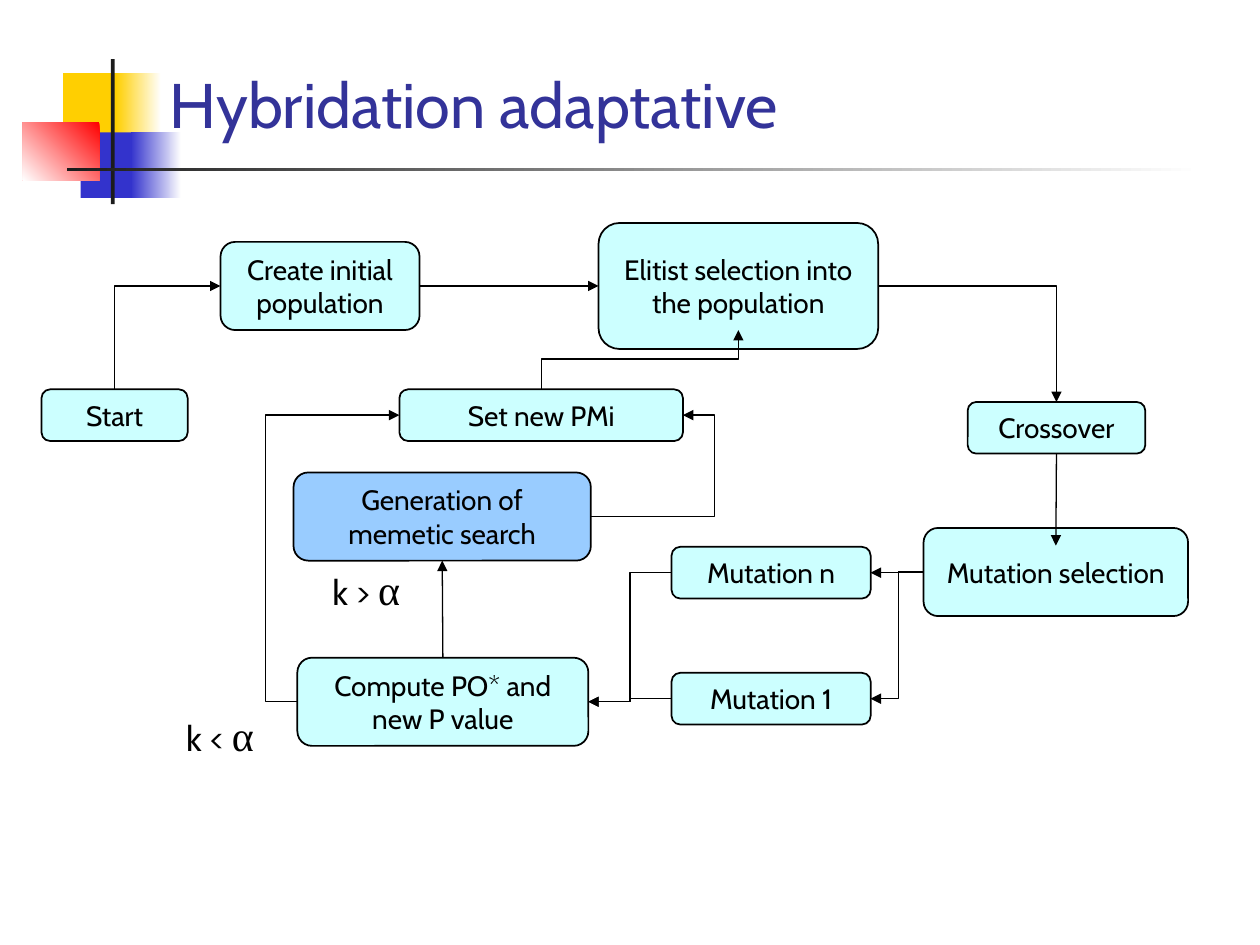
import pptx
import pptx.util
import pptx.dml.color
import pptx.enum.shapes
import pptx.enum.text
import pptx.oxml
import pptx.oxml.ns

Inches, Pt = pptx.util.Inches, pptx.util.Pt
Shapes = pptx.enum.shapes.MSO_SHAPE
Connectors = pptx.enum.shapes.MSO_CONNECTOR
Anchor = pptx.enum.text.MSO_ANCHOR
Align = pptx.enum.text.PP_ALIGN
qn = pptx.oxml.ns.qn
TOP, LEFT, BOTTOM, RIGHT = range(4)

# Content: decoration as (left, top, width, height, colours, angle)
DECORATION = [
    (0.5, 0.58, 0.48, 0.52, ["FFCF01"], 0),
    (0.92, 0.58, 0.36, 0.52, ["FFFFFF", "FFCF01"], 180),
    (0.64, 1.05, 0.46, 0.52, ["3333CC"], 0),
    (1.04, 1.05, 0.4, 0.52, ["FFFFFF", "3333CC"], 180),
    (0.18, 0.97, 0.61, 0.46, ["FF0000", "FFFFFF"], 225),
    (0.88, 0.47, 0.03, 1.15, ["1C1C1C"], 0),
    (0.53, 1.33, 9, 0.03, ["FFFFFF", "1C1C1C"], 180),
]
PALE, BLUE = "CCFFFF", "99CCFF"
# Steps: name -> (text, left, top, width, height, fill)
STEPS = {
    "compute": ("Compute PO* and\nnew P value", 2.36, 5.22, 2.31, 0.7, PALE),
    "crossover": ("Crossover", 7.68, 3.19, 1.41, 0.41, PALE),
    "mutation 1": ("Mutation 1", 5.33, 5.34, 1.58, 0.41, PALE),
    "mutation n": ("Mutation n", 5.33, 4.34, 1.58, 0.41, PALE),
    "selection": ("Mutation selection", 7.33, 4.19, 2.1, 0.7, PALE),
    "elitist": ("Elitist selection into the population", 4.75, 1.77, 2.22, 1, PALE),
    "start": ("Start", 0.33, 3.09, 1.16, 0.41, PALE),
    "create": ("Create initial population", 1.75, 1.92, 1.58, 0.7, PALE),
    "set": ("Set new PMi", 3.17, 3.09, 2.25, 0.41, PALE),
    "memetic": ("Generation of memetic search", 2.33, 3.75, 2.36, 0.7, BLUE),
}
# Arrows: (from step, side, to step and side or to point, route, bend position)
ARROWS = [
    ("create", RIGHT, ("elitist", LEFT), "straight", None),
    ("crossover", BOTTOM, (8.38, 4.33), "straight", None),
    ("compute", TOP, ("memetic", BOTTOM), "straight", None),
    ("compute", LEFT, ("set", LEFT), "bend", 2.11),
    ("mutation 1", LEFT, ("compute", RIGHT), "bend", 5),
    ("mutation n", LEFT, ("compute", RIGHT), "bend", 5),
    ("selection", LEFT, ("mutation 1", RIGHT), "bend", 7.13),
    ("selection", LEFT, ("mutation n", RIGHT), "bend", 7.13),
    ("memetic", RIGHT, ("set", RIGHT), "bend", 5.67),
    ("elitist", RIGHT, ("crossover", TOP), "corner", None),
    ("start", TOP, ("create", LEFT), "corner", None),
    ("set", TOP, (5.86, 2.62), "bend", 2.85),
]
# Branch conditions: (left, top, text, symbol)
CONDITIONS = [(1.38, 5.58, "k < ", "α"), (2.54, 4.42, "k > ", "α")]


def color(value):
    return pptx.dml.color.RGBColor.from_string(value)


def style(run, size, font="Cabin", value="000000"):
    run.font.size = Pt(size)
    run.font.name = font
    run.font.color.rgb = color(value)


def add_box(slide, kind, left, top, width, height, fills, angle=0):
    shape = slide.shapes.add_shape(kind, *map(Inches, (left, top, width, height)))
    shape.shadow.inherit = False
    shape.line.fill.background()
    if len(fills) == 1:
        shape.fill.solid()
        shape.fill.fore_color.rgb = color(fills[0])
    else:
        shape.fill.gradient()
        shape.fill.gradient_angle = angle
        for stop, value in zip(shape.fill.gradient_stops, fills):
            stop.color.rgb = color(value)
    return shape


def add_step(slide, text, left, top, width, height, fill):
    shape = add_box(slide, Shapes.ROUNDED_RECTANGLE, left, top, width, height, [fill])
    shape.line.color.rgb = color("000000")
    shape.line.width = Pt(1)
    frame = shape.text_frame
    frame.text = text
    frame.word_wrap = True
    frame.vertical_anchor = Anchor.MIDDLE
    for paragraph in frame.paragraphs:
        paragraph.alignment = Align.CENTER
        style(paragraph.runs[0], 16)
    return shape


def route_elbow(connector, vertical, route, bend):
    """Shape an elbow; a vertical start needs a frame turned by 90 degrees."""
    x, y = connector.begin_x, connector.begin_y
    dx, dy = connector.end_x - x, connector.end_y - y
    width, height = abs(dx), abs(dy)
    flip_h, flip_v = dx < 0, dy < 0
    if vertical:
        width, height = height, width
        flip_h, flip_v = dy < 0, dx > 0
    connector.left = int(x + dx / 2 - width / 2)
    connector.top = int(y + dy / 2 - height / 2)
    connector.width, connector.height = width, height
    properties = connector._element.spPr
    frame = properties.find(qn("a:xfrm"))
    frame.set("rot", "5400000" if vertical else "0")
    frame.set("flipH", str(int(flip_h)))
    frame.set("flipV", str(int(flip_v)))
    geometry = properties.find(qn("a:prstGeom"))
    if route == "corner":
        geometry.set("prst", "bentConnector2")
    else:
        start, length = (y, dy) if vertical else (x, dx)
        share = round((Inches(bend) - start) / length * 100000)
        adjustments = geometry.find(qn("a:avLst"))
        if adjustments is None:
            adjustments = pptx.oxml.ns and geometry.makeelement(qn("a:avLst"), {})
            geometry.append(adjustments)
        guide = adjustments.makeelement(qn("a:gd"), {"name": "adj1", "fmla": f"val {share}"})
        adjustments.append(guide)


def add_arrow(slide, steps, source, side, target, route, bend):
    kind = Connectors.STRAIGHT if route == "straight" else Connectors.ELBOW
    joined = target[0] in steps
    end = (0, 0) if joined else target
    connector = slide.shapes.add_connector(kind, 0, 0, *map(Inches, end))
    connector.begin_connect(steps[source], side)
    if joined:
        connector.end_connect(steps[target[0]], target[1])
    if route != "straight":
        route_elbow(connector, side in (TOP, BOTTOM), route, bend)
    connector.line.color.rgb = color("000000")
    connector.line.width = Pt(0.75)
    line = connector.line._get_or_add_ln()
    line.append(line.makeelement(qn("a:tailEnd"), {"type": "triangle"}))
    properties = connector._element.spPr
    properties.append(properties.makeelement(qn("a:effectLst"), {}))


def add_text(slide, left, top, width, height, runs, wrap):
    """Runs are (text, size, font, colour)."""
    box = slide.shapes.add_textbox(*map(Inches, (left, top, width, height)))
    box.text_frame.word_wrap = wrap
    for text, *look in runs:
        run = box.text_frame.paragraphs[0].add_run()
        run.text = text
        style(run, *look)
    return box


def main():
    presentation = pptx.Presentation()
    presentation.slide_width, presentation.slide_height = Inches(10), Inches(7.5)
    slide = presentation.slides.add_slide(presentation.slide_layouts[6])

    for part in DECORATION:
        add_box(slide, Shapes.RECTANGLE, *part)

    # Flow chart
    steps = {name: add_step(slide, *step) for name, step in STEPS.items()}
    for arrow in ARROWS:
        add_arrow(slide, steps, *arrow)
    for left, top, text, symbol in CONDITIONS:
        runs = [(text, 20), (symbol, 24, "Times New Roman")]
        add_text(slide, left, top, 0.83, 0.5, runs, False)

    # Title
    title = add_text(slide, 1.25, 0.25, 8.5, 0.92,
                     [("Hybridation adaptative", 36, "Cabin", "333399")], True)
    title.text_frame.vertical_anchor = Anchor.BOTTOM
    presentation.save("out.pptx")


if __name__ == "__main__":
    main()
